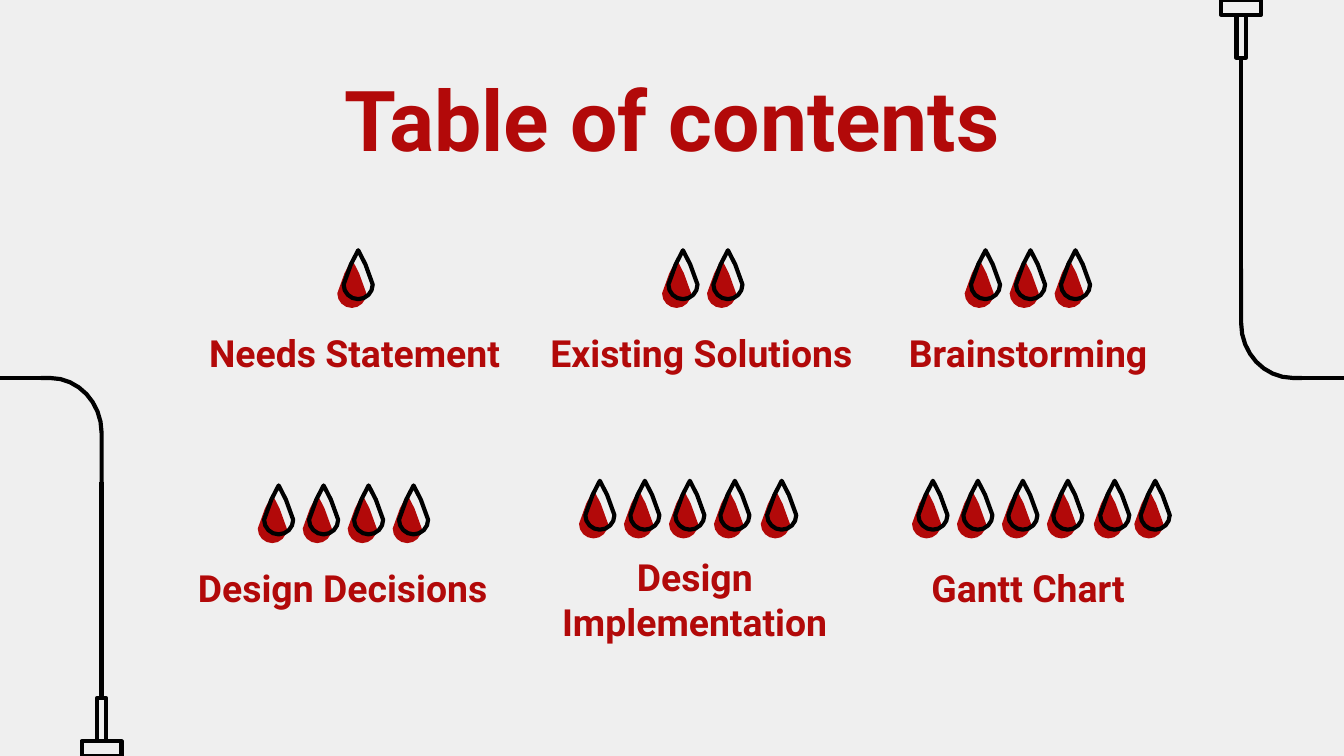
"""Build a table of contents slide with drop counters and drip tubing."""
from typing import NamedTuple

from lxml import etree
from pptx import Presentation
from pptx.dml.color import RGBColor
from pptx.enum.shapes import MSO_CONNECTOR, MSO_SHAPE
from pptx.enum.text import MSO_ANCHOR, MSO_AUTO_SIZE, PP_ALIGN
from pptx.oxml.ns import qn
from pptx.util import Pt

STRAIGHT = MSO_CONNECTOR.STRAIGHT
RECTANGLE = MSO_SHAPE.RECTANGLE
TOP, BOTTOM = MSO_ANCHOR.TOP, MSO_ANCHOR.BOTTOM
CENTER = PP_ALIGN.CENTER
NO_AUTOFIT = MSO_AUTO_SIZE.NONE

COLORS = {"background": "EFEFEF", "red": "B20909", "black": "000000"}
FONT = "Roboto"
STROKE = 2.25
INSET = 7.2
DROP_PITCH = 24.1
OUTLINE_SHIFT = (3.4, -4.7)
LABEL_SIZE = (254.9, 35.3)
MIRROR_SUM = (719.3, 405)

Point = tuple[float, float]


class Section(NamedTuple):
    """A contents entry; nudges shift individual drops off the even pitch."""
    label: str
    label_left: float
    label_top: float
    drops_left: float
    drops_top: float
    nudges: tuple[float, ...]


SECTIONS = (
    Section("Needs Statement", 62.6, 172.8, 180.7, 138.8, (0,)),
    Section("Existing Solutions", 248.4, 172.8, 354.7, 138.8, (0,) * 2),
    Section("Brainstorming", 423.4, 172.8, 516.8, 138.8, (0,) * 3),
    Section("Design Decisions", 56.2, 298.8, 138.1, 264.8, (0,) * 4),
    Section("Design\nImplementation", 244.8, 316.8, 310.2, 262.3, (0, 0, 0, 0, 1)),
    Section("Gantt Chart", 423.4, 298.8, 488.6, 262.3, (0, 0, 0, 0, 1, -1.4)),
)


def color(name: str) -> RGBColor:
    return RGBColor.from_string(COLORS[name])


def bezier(corners: tuple[Point, Point, Point, Point], steps: int) -> list[Point]:
    """Sample a cubic curve, leaving out its start."""
    points = []
    for step in range(1, steps + 1):
        t = step / steps
        weights = ((1 - t) ** 3, 3 * t * (1 - t) ** 2, 3 * t * t * (1 - t), t ** 3)
        points.append((sum(w * x for w, (x, _) in zip(weights, corners)),
                       sum(w * y for w, (_, y) in zip(weights, corners))))
    return points


LEFT_SIDE = [
    (7.8, 0),
    *bezier(((7.8, 0), (7.8, 0), (0, 14.1), (0, 18.4)), 2),
    *bezier(((0, 18.4), (0, 22.7), (3.5, 26.2), (7.8, 26.2)), 4),
]
DROP = LEFT_SIDE + [(15.6 - x, y) for x, y in LEFT_SIDE[-2:0:-1]]
TUBE_BEND = [
    (664.9, 144), (664.9, 173.1),
    *bezier(((664.9, 173.1), (664.9, 189.2), (677.2, 202.5), (692.6, 202.5)), 8),
    (697.4, 202.5),
]


def stroke(shape) -> None:
    shape.line.color.rgb = color("black")
    shape.line.width = Pt(STROKE)


def draw_outline(slide, points: list[Point], closed: bool = True):
    corners = [(Pt(x), Pt(y)) for x, y in points]
    builder = slide.shapes.build_freeform(*corners[0], scale=1.0)
    builder.add_line_segments(corners[1:], close=closed)
    shape = builder.convert_to_shape()
    shape.shadow.inherit = False
    shape.fill.background()
    return shape


def draw_drop(slide, left: float, top: float) -> None:
    blood = draw_outline(slide, [(left + x, top + y) for x, y in DROP])
    blood.fill.solid()
    blood.fill.fore_color.rgb = color("red")
    blood.line.fill.background()
    shift_x, shift_y = OUTLINE_SHIFT
    stroke(draw_outline(slide, [(left + shift_x + x, top + shift_y + y) for x, y in DROP]))


def draw_tubing(slide, mirrored: bool) -> None:
    """Draw a nozzle, its stem and the tube; mirrored turns it half round."""
    def place(point: Point) -> Point:
        if not mirrored:
            return point
        return MIRROR_SUM[0] - point[0], MIRROR_SUM[1] - point[1]

    for corner, opposite in (((654.2, 0), (675.6, 7.9)), ((662.4, 7.9), (667.4, 31))):
        (x1, y1), (x2, y2) = place(corner), place(opposite)
        fitting = slide.shapes.add_shape(RECTANGLE, Pt(min(x1, x2)), Pt(min(y1, y2)),
                                         Pt(abs(x2 - x1)), Pt(abs(y2 - y1)))
        fitting.shadow.inherit = False
        fitting.fill.background()
        stroke(fitting)
    stroke(draw_outline(slide, [place(point) for point in TUBE_BEND], closed=False))
    for start, end in (((694.8, 202.5), (720, 202.5)), ((664.9, 146.9), (664.9, 30.2))):
        ends = [Pt(value) for value in (*place(start), *place(end))]
        tube = slide.shapes.add_connector(STRAIGHT, *ends)
        stroke(tube)
        etree.SubElement(tube._element.spPr, qn("a:effectLst"))


def write(box, text: str, size: float, anchor) -> None:
    frame = box.text_frame
    frame.text = text
    frame.word_wrap = True
    frame.auto_size = NO_AUTOFIT
    frame.vertical_anchor = anchor
    frame.margin_left = frame.margin_right = Pt(INSET)
    frame.margin_top = frame.margin_bottom = Pt(INSET)
    for paragraph in frame.paragraphs:
        paragraph.alignment = CENTER
        for run in paragraph.runs:
            run.font.name = FONT
            run.font.size = Pt(size)
            run.font.bold = True
            run.font.color.rgb = color("red")


def draw_section(slide, section: Section) -> None:
    for index, nudge in enumerate(section.nudges):
        draw_drop(slide, section.drops_left + index * DROP_PITCH + nudge, section.drops_top)
    width, height = LABEL_SIZE
    label = slide.shapes.add_textbox(Pt(section.label_left), Pt(section.label_top),
                                     Pt(width), Pt(height))
    write(label, section.label, 20, BOTTOM)


def main() -> None:
    presentation = Presentation()
    presentation.slide_width, presentation.slide_height = Pt(720), Pt(405)
    slide = presentation.slides.add_slide(presentation.slide_layouts.get_by_name("Title Only"))
    slide.background.fill.solid()
    slide.background.fill.fore_color.rgb = color("background")

    title = slide.shapes.title
    title.left, title.top, title.width, title.height = Pt(56.2), Pt(28.8), Pt(607.7), Pt(64.8)
    write(title, "Table of contents", 45, TOP)

    for mirrored in (True, False):
        draw_tubing(slide, mirrored)
    for section in SECTIONS:
        draw_section(slide, section)
    presentation.save("out.pptx")


if __name__ == "__main__":
    main()
